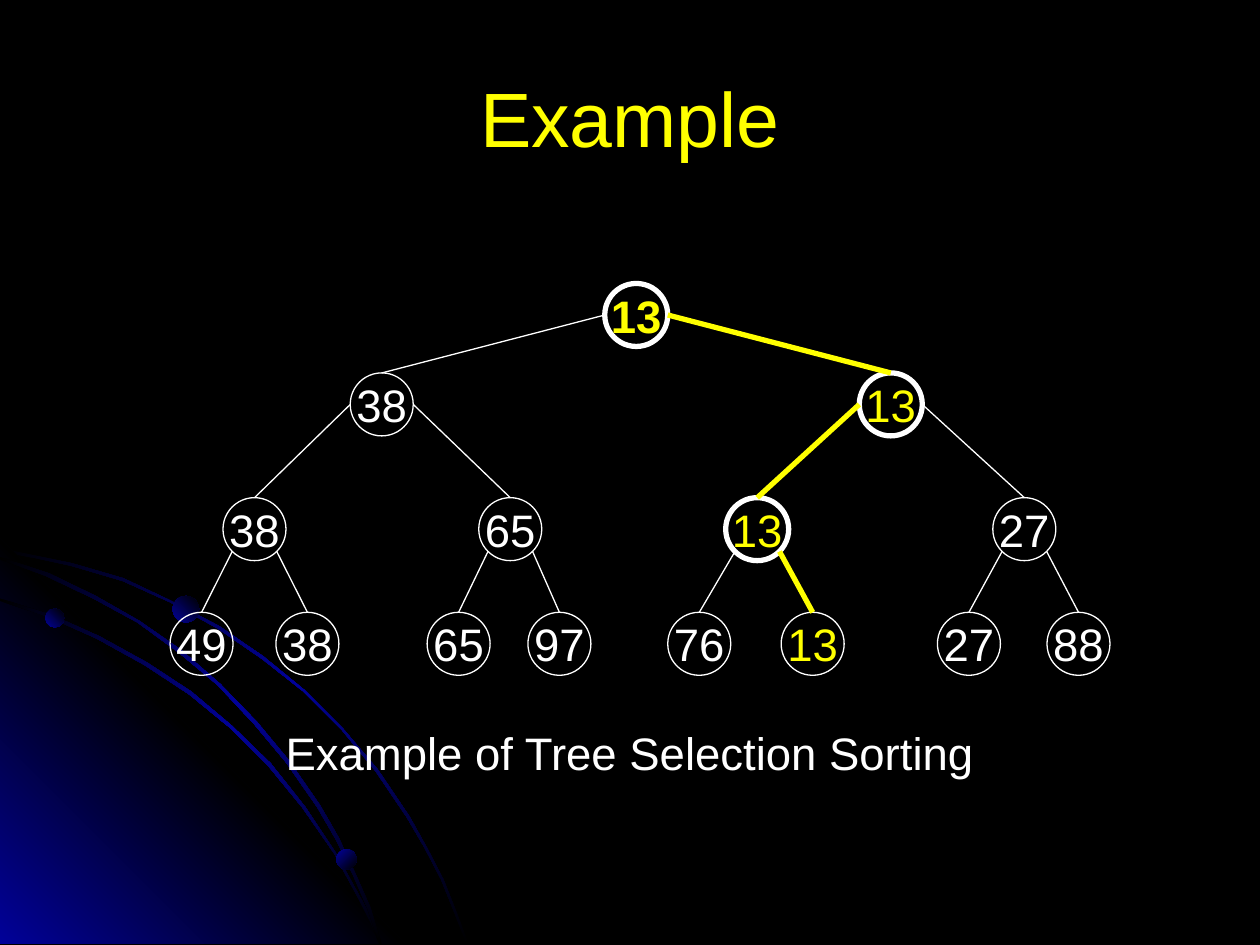
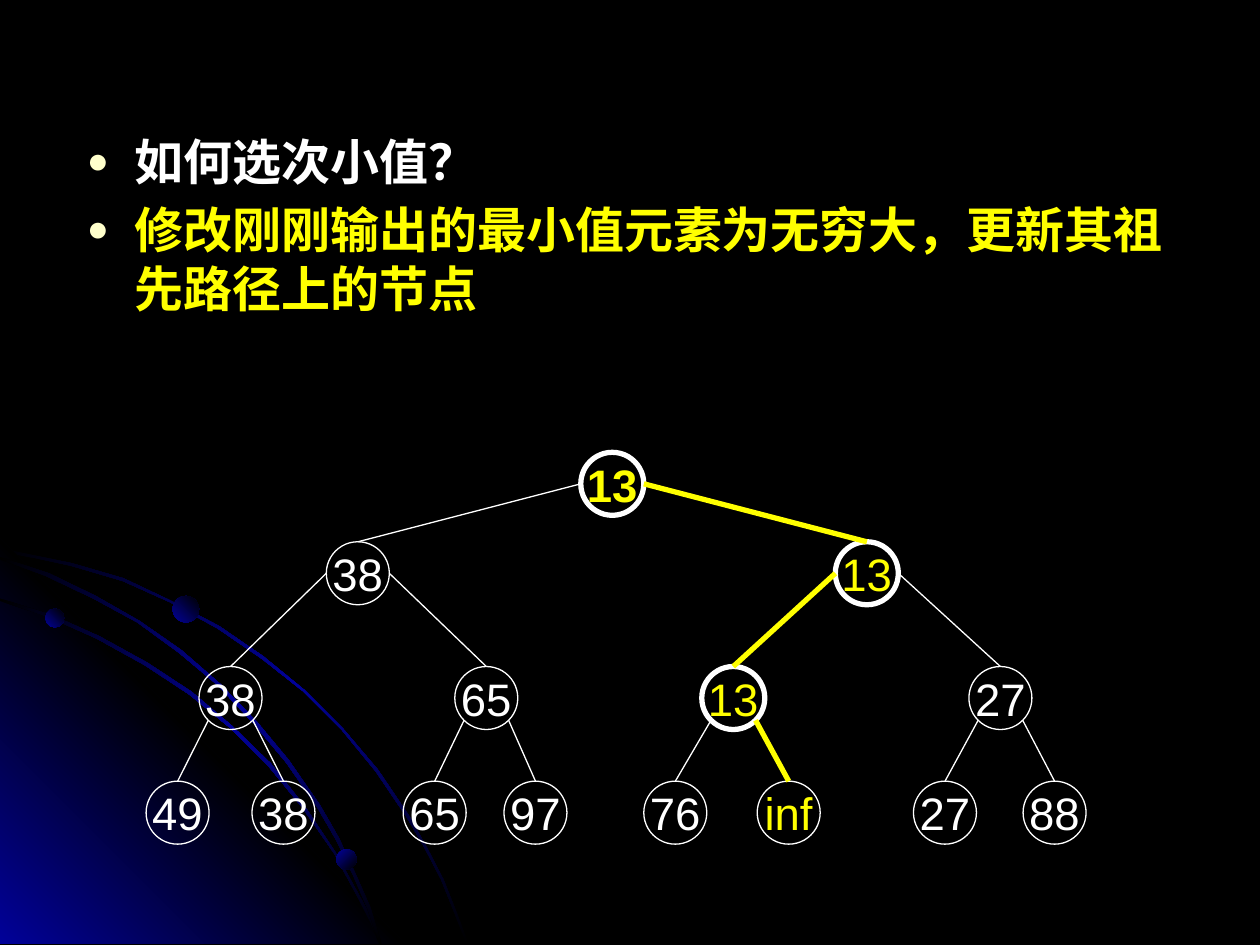
from math import sqrt

from lxml import etree
from pptx import Presentation
from pptx.dml.color import RGBColor
from pptx.enum.shapes import MSO_CONNECTOR, MSO_SHAPE
from pptx.enum.text import MSO_ANCHOR, PP_ALIGN
from pptx.oxml.ns import nsdecls, qn
from pptx.oxml import parse_xml
from pptx.util import Inches, Pt

# ---- Shared style ----
BLACK, WHITE, YELLOW, BLUE, CREAM = "000000", "FFFFFF", "FFFF00", "010199", "FFFFCC"
SANS, SERIF = "Arial", "Times New Roman"
THIN, THICK = 0.75, 3

# ---- Content ----
TITLE = "Example"
CAPTION = "Example of Tree Selection Sorting"
BULLETS = [
    ("如何选次小值？", WHITE),
    ("修改刚刚输出的最小值元素为无穷大，更新其祖先路径上的节点", YELLOW),
]

# Tournament tree in heap order: the children of i are 2i + 1 and 2i + 2
KEYS = ["13", "38", "13", "38", "65", "13", "27",
        "49", "38", "65", "97", "76", "13", "27", "88"]
WINNER_LEAF = 12
KEYS_AFTER_OUTPUT = KEYS[:WINNER_LEAF] + ["inf"] + KEYS[WINNER_LEAF + 1:]
WINNER_PATH = {0, 2, 5, WINNER_LEAF}
FIRST_LEAF = len(KEYS) // 2
NODE_X = [5.05, 3.03, 7.07, 2.02, 4.05, 6.01, 8.13,
          1.6, 2.44, 3.64, 4.44, 5.55, 6.45, 7.69, 8.56]
LEVEL_Y = [2.5, 3.21, 4.2, 5.11]
RADIUS = 0.25
SECOND_TREE_SHIFT = (-0.19, 1.34)

# ---- Backdrop: outlines in hundredths of an inch ----
OUTER_ORBIT = [
    (57, 447), (28, 441), (0, 435), (0, 438), (28, 443), (56, 449), (97, 461),
    (135, 478), (173, 499), (208, 523), (241, 549), (271, 579), (298, 612),
    (323, 649), (337, 673), (350, 698), (360, 723), (370, 749), (372, 749),
    (362, 723), (352, 698), (339, 673), (325, 648), (300, 611), (272, 578),
    (242, 548), (209, 521), (174, 497), (136, 477), (98, 459)]
CORNER_GLOW = [(322, 749), (0, 749), (0, 427)]
INNER_ORBIT = [
    (285, 714), (294, 732), (301, 749), (303, 749), (296, 730), (286, 712),
    (266, 676), (242, 640), (215, 606), (184, 576), (152, 549), (117, 526),
    (79, 505), (41, 488), (0, 475), (0, 477), (39, 490), (77, 507), (115, 528),
    (150, 551), (183, 578), (213, 608), (240, 641), (265, 677)]
MIDDLE_ORBIT = [
    (0, 442), (0, 444), (36, 457), (74, 475), (109, 494), (142, 518), (173, 544),
    (202, 575), (227, 605), (252, 641), (267, 667), (280, 694), (292, 722),
    (301, 749), (303, 749), (294, 720), (282, 693), (269, 665), (254, 639),
    (229, 603), (204, 573), (175, 543), (144, 516), (111, 493), (76, 473),
    (39, 455)]
ORBIT_BLEND, GLOW_BLEND = (BLACK, BLUE, BLACK), (BLUE, BLACK, BLUE)
BACKDROP = [(OUTER_ORBIT, ORBIT_BLEND, 45), (CORNER_GLOW, GLOW_BLEND, 315),
            (INNER_ORBIT, ORBIT_BLEND, 45), (MIDDLE_ORBIT, ORBIT_BLEND, 45)]
# left, top, diameter, gradient angle
PLANETS = [(0.36, 4.83, 0.15, 315), (2.67, 6.74, 0.16, 45), (1.37, 4.73, 0.21, 315)]


def color(hex_code):
    return RGBColor.from_string(hex_code)


def write(paragraph, text, size, font_name, hex_code, bold=False):
    run = paragraph.add_run()
    run.text = text
    run.font.size, run.font.name, run.font.bold = Pt(size), font_name, bold
    run.font.color.rgb = color(hex_code)


def place(shape, left, top, width, height):
    shape.left, shape.top = Inches(left), Inches(top)
    shape.width, shape.height = Inches(width), Inches(height)


def add_circle(slide, left, top, diameter):
    circle = slide.shapes.add_shape(MSO_SHAPE.OVAL, Inches(left), Inches(top),
                                    Inches(diameter), Inches(diameter))
    circle.shadow.inherit = False
    return circle


def blend(shape, hex_codes, angle):
    """Fill with evenly spaced gradient stops, the angle running clockwise."""
    step = 100000 // (len(hex_codes) - 1)
    stops = "".join(f'<a:gs pos="{i * step}"><a:srgbClr val="{code}"/></a:gs>'
                    for i, code in enumerate(hex_codes))
    shape.line.fill.background()
    shape.shadow.inherit = False
    shape.element.spPr.insert(2, parse_xml(
        f'<a:gradFill {nsdecls("a")} rotWithShape="1"><a:gsLst>{stops}</a:gsLst>'
        f'<a:lin ang="{angle * 60000}" scaled="1"/></a:gradFill>'))


def move_backdrop_to_master(master, slide):
    """Draw the orbits on the slide, then hand them to the master."""
    decorations = []
    for outline, hex_codes, angle in BACKDROP:
        builder = slide.shapes.build_freeform(*outline[0], scale=Inches(0.01))
        builder.add_line_segments(outline[1:], close=True)
        decorations.append(builder.convert_to_shape())
        blend(decorations[-1], hex_codes, angle)
    for left, top, diameter, angle in PLANETS:
        decorations.append(add_circle(slide, left, top, diameter))
        blend(decorations[-1], (BLUE, BLACK), angle)
    for i, decoration in enumerate(decorations):
        decoration.element.nvSpPr.cNvPr.set("id", str(100 + i))
        master.shapes.element.insert(2 + i, decoration.element)
    master.background.fill.solid()
    master.background.fill.fore_color.rgb = color(BLACK)


def add_edge(slide, start, end, hex_code, weight):
    edge = slide.shapes.add_connector(MSO_CONNECTOR.STRAIGHT,
                                      *(Inches(v) for v in start + end))
    edge.line.color.rgb = color(hex_code)
    edge.line.width = Pt(weight)
    etree.SubElement(edge.element.spPr, qn("a:effectLst"))


def add_tree(slide, keys, shift=(0, 0)):
    levels = [(i + 1).bit_length() - 1 for i in range(len(keys))]
    centers = [(x + shift[0], LEVEL_Y[level] + shift[1])
               for x, level in zip(NODE_X, levels)]

    # Nodes
    for i, (key, (x, y)) in enumerate(zip(keys, centers)):
        node = add_circle(slide, x - RADIUS, y - RADIUS, 2 * RADIUS)
        node.fill.background()
        node.line.color.rgb = color(WHITE)
        node.line.width = Pt(THICK if i in WINNER_PATH and i < FIRST_LEAF else THIN)
        frame = node.text_frame
        frame.word_wrap = False
        frame.vertical_anchor = MSO_ANCHOR.MIDDLE
        frame.paragraphs[0].alignment = PP_ALIGN.CENTER
        write(frame.paragraphs[0], key, 26, SANS,
              YELLOW if i in WINNER_PATH else WHITE, bold=i == 0)

    # Edges leave from the side, or from the lower diagonal above the leaves
    for child in range(1, len(keys)):
        parent = (child - 1) // 2
        side = -1 if child % 2 else 1
        x, y = centers[parent]
        reach, drop = (RADIUS / sqrt(2),) * 2 if child >= FIRST_LEAF else (RADIUS, 0)
        child_x, child_y = centers[child]
        on_path = {parent, child} <= WINNER_PATH
        add_edge(slide, (x + side * reach, y + drop), (child_x, child_y - RADIUS),
                 YELLOW if on_path else WHITE, THICK if on_path else THIN)


def add_bullet(paragraph, text, hex_code):
    properties = paragraph._p.get_or_add_pPr()
    properties.set("marL", str(Inches(0.38)))
    properties.set("indent", str(Inches(-0.38)))
    for mark in (f'<a:buClr {nsdecls("a")}><a:srgbClr val="{CREAM}"/></a:buClr>',
                 f'<a:buSzPct {nsdecls("a")} val="75000"/>',
                 f'<a:buChar {nsdecls("a")} char="●"/>'):
        properties.append(parse_xml(mark))
    write(paragraph, text, 28, SERIF, hex_code, bold=True)


def build_example(slide):
    add_tree(slide, KEYS)

    # Caption
    caption = slide.shapes.add_textbox(Inches(2.14), Inches(5.7),
                                       Inches(5.72), Inches(0.54)).text_frame
    caption.word_wrap = False
    caption.vertical_anchor = MSO_ANCHOR.MIDDLE
    caption.paragraphs[0].alignment = PP_ALIGN.CENTER
    write(caption.paragraphs[0], CAPTION, 26, SANS, WHITE)

    # Title
    title = slide.shapes.title
    place(title, 0.5, 0.3, 9, 1.25)
    title.text_frame.vertical_anchor = MSO_ANCHOR.MIDDLE
    title.text_frame.paragraphs[0].alignment = PP_ALIGN.CENTER
    write(title.text_frame.paragraphs[0], TITLE, 44, SANS, YELLOW)


def build_second_smallest(slide):
    unused_title = slide.shapes.title.element
    unused_title.getparent().remove(unused_title)

    # Question and answer
    body = slide.placeholders[1]
    place(body, 0.59, 0.99, 9, 4.95)
    for i, (text, hex_code) in enumerate(BULLETS):
        frame = body.text_frame
        add_bullet(frame.add_paragraph() if i else frame.paragraphs[0], text, hex_code)

    add_tree(slide, KEYS_AFTER_OUTPUT, SECOND_TREE_SHIFT)


def main():
    prs = Presentation()
    prs.slide_width, prs.slide_height = Inches(10), Inches(7.5)
    title_and_content, title_only = prs.slide_layouts[1], prs.slide_layouts[5]
    example = prs.slides.add_slide(title_only)
    move_backdrop_to_master(prs.slide_master, example)
    build_example(example)
    build_second_smallest(prs.slides.add_slide(title_and_content))
    prs.save("out.pptx")


if __name__ == "__main__":
    main()
